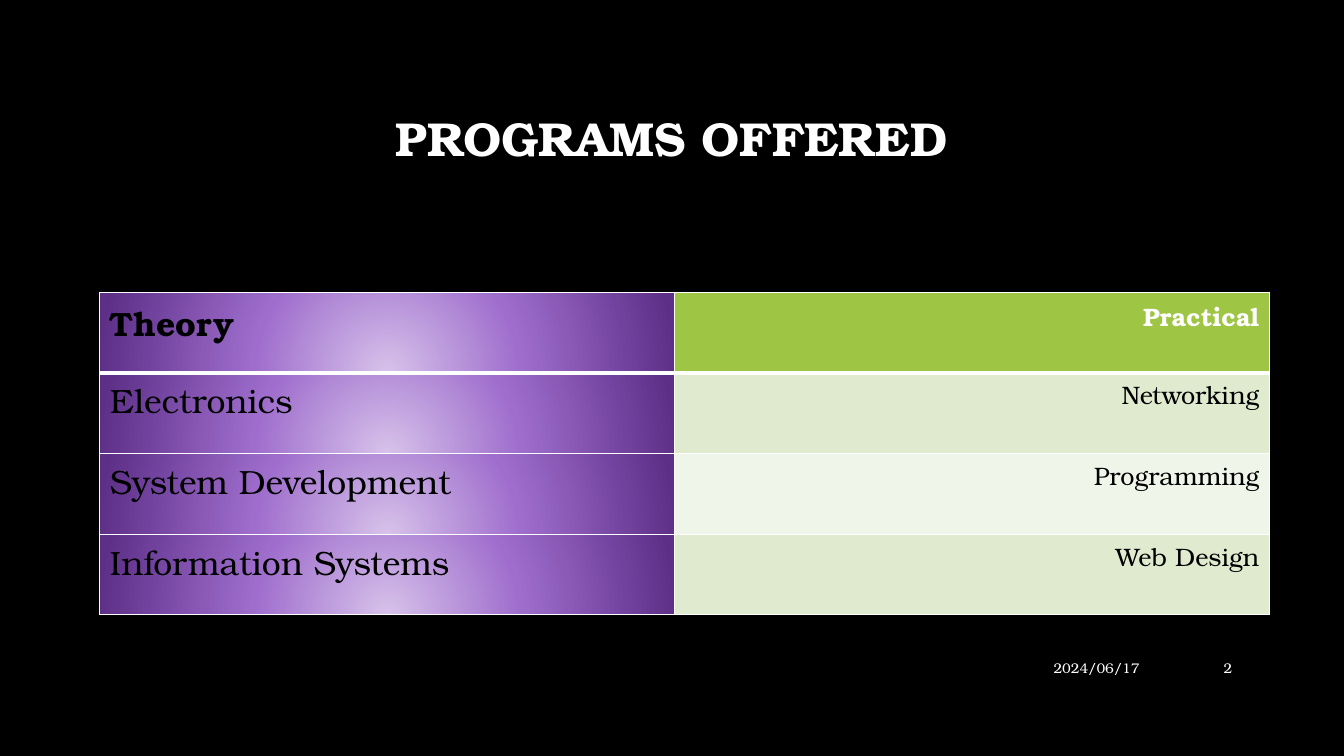
from pptx import Presentation
from pptx import util as u
from pptx.dml.color import RGBColor
from pptx.enum import text
from pptx.oxml import parse_xml
from pptx.oxml.ns import nsdecls

COLORS = {
    "background": "000000", "light": "FFFFFF", "dark": "000000",
    "header": "9EC544", "band": "DFEACF", "plain": "F0F5E9",
    "glow": "D7C2EA", "violet": "9F6ECD", "purple": "5D2F87",
}
PROGRAMS = [
    ("Theory", "Practical"),
    ("Electronics", "Networking"),
    ("System Development", "Programming"),
    ("Information Systems", "Web Design"),
]
PRACTICAL_FILLS = ["header", "band", "plain", "band"]
GLOW_STOPS = [(0, "glow"), (46, "violet"), (100, "purple")]


class SlideBuilder:
    """Hold the style and the current slide, and add its elements."""

    font_name = "TeX Gyre Bonum"

    def __init__(self, presentation):
        self.slide = presentation.slides.add_slide(presentation.slide_layouts[5])
        fill = self.slide.background.fill
        fill.solid()
        fill.fore_color.rgb = self.color("background")

    def color(self, name):
        return RGBColor.from_string(COLORS[name])

    def set_text(self, frame, words, size, color, align, bold=False):
        frame.word_wrap = True
        paragraph = frame.paragraphs[0]
        paragraph.text = words
        paragraph.alignment = align
        font = paragraph.font
        font.name, font.size, font.bold = self.font_name, u.Pt(size), bold
        font.color.rgb = self.color(color)
        return paragraph

    def title(self, words, left, top, width, height):
        shape = self.slide.shapes.title
        shape.left, shape.top = u.Inches(left), u.Inches(top)
        shape.width, shape.height = u.Inches(width), u.Inches(height)
        frame = shape.text_frame
        frame.auto_size = text.MSO_AUTO_SIZE.NONE
        frame.vertical_anchor = text.MSO_ANCHOR.MIDDLE
        paragraph = self.set_text(frame, words, 34, "light", text.PP_ALIGN.CENTER, True)
        paragraph.line_spacing = 0.9

    def footer(self, words, left, width):
        shape = self.slide.shapes.add_textbox(
            u.Inches(left), u.Inches(6.43), u.Inches(width), u.Inches(0.4))
        shape.text_frame.vertical_anchor = text.MSO_ANCHOR.MIDDLE
        self.set_text(shape.text_frame, words, 10, "light", text.PP_ALIGN.RIGHT)

    def borders(self, cell, top, bottom):
        properties = cell._tc.get_or_add_tcPr()
        for side, points in (("L", 1), ("R", 1), ("T", top), ("B", bottom)):
            properties.append(parse_xml(
                f'<a:ln{side} {nsdecls("a")} w="{u.Pt(points)}"><a:solidFill>'
                f'<a:srgbClr val="{COLORS["light"]}"/></a:solidFill></a:ln{side}>'))

    def glow(self, cell):
        stops = "".join(
            f'<a:gs pos="{position * 1000}"><a:srgbClr val="{COLORS[name]}"/></a:gs>'
            for position, name in GLOW_STOPS)
        cell._tc.get_or_add_tcPr().append(parse_xml(
            f'<a:gradFill {nsdecls("a")} rotWithShape="1"><a:gsLst>{stops}</a:gsLst>'
            '<a:path path="circle"><a:fillToRect l="50000" t="130000" r="50000" '
            'b="-30000"/></a:path></a:gradFill>'))

    def table(self, rows, left, top, widths, row_height):
        table = self.slide.shapes.add_table(
            len(rows), len(widths), u.Inches(left), u.Inches(top),
            u.Inches(sum(widths)), u.Inches(row_height * len(rows))).table
        for column, width in zip(table.columns, widths):
            column.width = u.Inches(width)
        for index, (theory, practical) in enumerate(rows):
            header = index == 0
            subject, skill = table.cell(index, 0), table.cell(index, 1)
            for cell in (subject, skill):
                self.borders(cell, 3 if index == 1 else 1, 3 if header else 1)
            self.glow(subject)
            skill.fill.solid()
            skill.fill.fore_color.rgb = self.color(PRACTICAL_FILLS[index])
            self.set_text(subject.text_frame, theory, 24, "dark",
                          text.PP_ALIGN.LEFT, header)
            self.set_text(skill.text_frame, practical, 18,
                          "light" if header else "dark", text.PP_ALIGN.RIGHT, header)


def main():
    presentation = Presentation()
    presentation.slide_width = u.Inches(13.33)
    presentation.slide_height = u.Inches(7.5)
    builder = SlideBuilder(presentation)
    builder.title("PROGRAMS OFFERED", 1, 0.67, 11.32, 1.45)
    builder.table(PROGRAMS, 0.99, 2.9, [5.7, 5.9], 0.8)
    builder.footer("2024/06/17", 8.4, 3)
    builder.footer("2", 11.5, 0.82)
    presentation.save("out.pptx")


if __name__ == "__main__":
    main()
